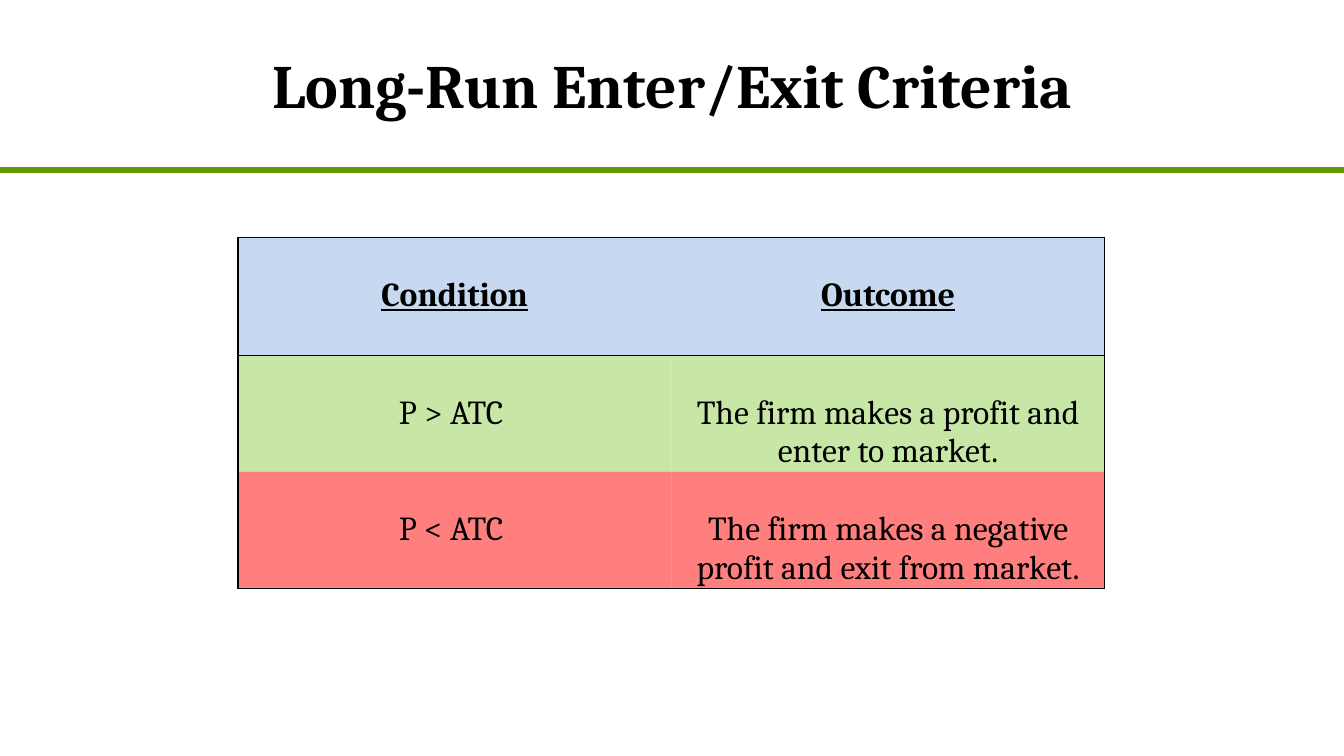
"""Build the slide on long-run enter and exit criteria."""
from dataclasses import dataclass

from lxml import etree
from pptx import Presentation
from pptx.dml.color import RGBColor
from pptx.enum.shapes import MSO_CONNECTOR
from pptx.enum.text import MSO_ANCHOR, PP_ALIGN
from pptx.oxml.ns import qn
from pptx.slide import Slide
from pptx.table import _Cell
from pptx.text.text import _Paragraph
from pptx.util import Cm, Pt

STRAIGHT = MSO_CONNECTOR.STRAIGHT
TOP, MIDDLE = MSO_ANCHOR.TOP, MSO_ANCHOR.MIDDLE
CENTER = PP_ALIGN.CENTER

BLACK = RGBColor(0x00, 0x00, 0x00)
RULE_GREEN = RGBColor(0x66, 0x99, 0x00)
HEADER_BLUE = RGBColor(0xC6, 0xD9, 0xF1)
ENTER_GREEN = RGBColor(0x92, 0xD0, 0x50)
EXIT_RED = RGBColor(0xFF, 0x00, 0x00)

FONT = "Cambria"
SLIDE_WIDTH, SLIDE_HEIGHT = Cm(33.87), Cm(19.05)
RULE_Y = Cm(4.29)
COLUMN_WIDTH = Cm(10.92)


@dataclass(frozen=True)
class Criterion:
    """One row of the criteria table."""
    condition: str
    outcome: str
    fill: RGBColor
    height: Cm
    opacity: int = 100
    heading: bool = False


CRITERIA = [
    Criterion("Condition", "Outcome", HEADER_BLUE, Cm(2.97), heading=True),
    Criterion("P > ATC ", "The firm makes a profit and enter to market.",
              ENTER_GREEN, Cm(2.93), opacity=50),
    Criterion("P < ATC ", "The firm makes a negative profit and exit from market.",
              EXIT_RED, Cm(2.93), opacity=50),
]


def format_text(paragraph: _Paragraph, size: int, bold: bool, underline: bool = False) -> None:
    """Centre a paragraph and format its runs."""
    paragraph.alignment = CENTER
    for run in paragraph.runs:
        run.font.name = FONT
        run.font.size = Pt(size)
        run.font.bold = bold
        run.font.underline = underline
        run.font.color.rgb = BLACK


def add_title(slide: Slide, wording: str) -> None:
    """Place and format the slide title."""
    title = slide.shapes.title
    title.left, title.top, title.width, title.height = Cm(5.51), Cm(0), Cm(22.86), Cm(4.24)
    title.text_frame.text = wording
    title.text_frame.vertical_anchor = MIDDLE
    format_text(title.text_frame.paragraphs[0], 44, bold=True)


def add_title_rule(slide: Slide) -> None:
    """Draw the green rule under the title."""
    rule = slide.shapes.add_connector(STRAIGHT, Cm(0), RULE_Y, SLIDE_WIDTH, RULE_Y)
    rule.line.color.rgb = RULE_GREEN
    rule.line.width = Pt(4.5)
    etree.SubElement(rule._element.spPr, qn("a:effectLst"))


def set_borders(cell: _Cell, visible: dict[str, bool]) -> None:
    """Give each side of a cell a thin black border or none."""
    properties = cell._tc.get_or_add_tcPr()
    for position, (side, shown) in enumerate(visible.items()):
        border = etree.Element(qn(f"a:ln{side}"), w=str(Pt(1)))
        if shown:
            ink = etree.SubElement(border, qn("a:solidFill"))
            etree.SubElement(ink, qn("a:srgbClr"), val=str(BLACK))
        else:
            etree.SubElement(border, qn("a:noFill"))
        properties.insert(position, border)


def fill_cell(cell: _Cell, wording: str, criterion: Criterion) -> None:
    """Write and colour one cell of a criterion."""
    cell.margin_left = cell.margin_right = Cm(0.2)
    cell.margin_top, cell.margin_bottom = Cm(0.97), Cm(0)
    cell.vertical_anchor = TOP
    cell.text_frame.text = wording
    format_text(cell.text_frame.paragraphs[0], 24, criterion.heading, criterion.heading)
    cell.fill.solid()
    cell.fill.fore_color.rgb = criterion.fill
    if criterion.opacity < 100:
        tint = cell._tc.tcPr.find(f"{qn('a:solidFill')}/{qn('a:srgbClr')}")
        etree.SubElement(tint, qn("a:alpha"), val=str(criterion.opacity * 1000))


def add_criteria_table(slide: Slide, criteria: list[Criterion]) -> None:
    """Draw the criteria with an outer frame and a line under the heading."""
    total_height = sum(criterion.height for criterion in criteria)
    table = slide.shapes.add_table(len(criteria), 2, Cm(6), Cm(5.99),
                                   2 * COLUMN_WIDTH, total_height).table
    table.first_row = table.horz_banding = False
    for column in table.columns:
        column.width = COLUMN_WIDTH
    last_row = len(criteria) - 1
    for row, criterion in enumerate(criteria):
        table.rows[row].height = criterion.height
        for column, wording in enumerate((criterion.condition, criterion.outcome)):
            cell = table.cell(row, column)
            fill_cell(cell, wording, criterion)
            set_borders(cell, {"L": column == 0, "R": column == 1,
                               "T": row <= 1, "B": row in (0, last_row)})


def main() -> None:
    """Create and save the presentation."""
    presentation = Presentation()
    presentation.slide_width, presentation.slide_height = SLIDE_WIDTH, SLIDE_HEIGHT
    slide = presentation.slides.add_slide(presentation.slide_layouts[5])
    add_title_rule(slide)
    add_title(slide, "Long-Run Enter/Exit Criteria")
    add_criteria_table(slide, CRITERIA)
    presentation.save("out.pptx")


if __name__ == "__main__":
    main()
